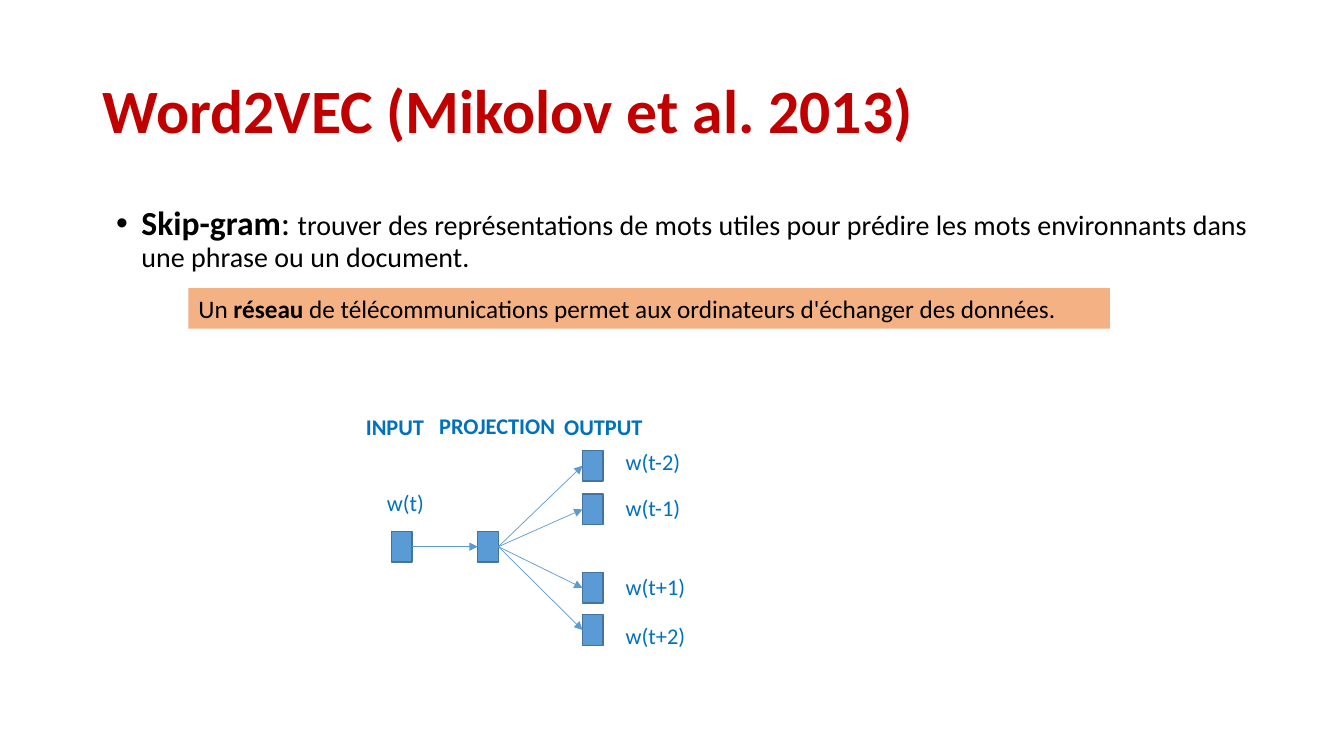
from dataclasses import dataclass

from lxml.etree import SubElement
from pptx import Presentation
from pptx.dml.color import RGBColor as RGB
from pptx.enum.shapes import MSO_CONNECTOR as CXN, MSO_SHAPE as SHP
from pptx.enum.text import MSO_ANCHOR as ANCHOR, MSO_AUTO_SIZE as FIT, PP_ALIGN as ALIGN
from pptx.oxml.ns import qn
from pptx.util import Cm, Pt


@dataclass(frozen=True)
class Theme:
    font: str = "Calibri"
    title: RGB = RGB(0xC0, 0x00, 0x00)
    text: RGB = RGB(0x00, 0x00, 0x00)
    label: RGB = RGB(0x00, 0x70, 0xC0)
    node: RGB = RGB(0x5B, 0x9B, 0xD5)
    border: RGB = RGB(0x43, 0x73, 0x9E)
    banner: RGB = RGB(0xF4, 0xB1, 0x83)
    title_size: int = 44
    lead_size: int = 24
    body_size: int = 20
    banner_size: int = 18
    label_size: int = 16


THEME = Theme()
RIGHT, LEFT = 3, 1
NODE_W, NODE_H = 0.52, 0.77
LABEL_H = 0.94


def add_run(p, text, size, color, bold=False):
    r = p.add_run()
    r.text = text
    r.font.name = THEME.font
    r.font.size = Pt(size)
    r.font.bold = bold
    r.font.color.rgb = color


def place(sp, left, top, width, height):
    sp.left, sp.top, sp.width, sp.height = Cm(left), Cm(top), Cm(width), Cm(height)


def set_title(sp, text):
    place(sp, 2.34, 1.02, 29.21, 3.68)
    tf = sp.text_frame
    tf.auto_size = FIT.NONE
    tf.vertical_anchor = ANCHOR.MIDDLE
    p = tf.paragraphs[0]
    p.alignment = ALIGN.LEFT
    p.line_spacing = 0.9
    add_run(p, text, THEME.title_size, THEME.title, True)


def set_body(sp, lead, text):
    place(sp, 2.67, 5.08, 29.21, 4.32)
    tf = sp.text_frame
    tf.auto_size = FIT.NONE
    p = tf.paragraphs[0]
    p.line_spacing = 0.9
    p.space_before = Pt(0)
    pPr = p._p.get_or_add_pPr()
    pPr.set("marL", str(Cm(0.64)))
    pPr.set("indent", str(Cm(-0.64)))
    add_run(p, lead, THEME.lead_size, THEME.text, True)
    add_run(p, ": ", THEME.lead_size, THEME.text)
    add_run(p, text, THEME.body_size, THEME.text)


def add_rect(shapes, left, top, width, height, fill):
    sp = shapes.add_shape(SHP.RECTANGLE, Cm(left), Cm(top), Cm(width), Cm(height))
    sp.shadow.inherit = False
    sp.fill.solid()
    sp.fill.fore_color.rgb = fill
    sp.line.fill.background()
    return sp


def add_banner(shapes, runs):
    sp = add_rect(shapes, 4.75, 7.26, 23.22, 1.02, THEME.banner)
    tf = sp.text_frame
    tf.word_wrap = True
    p = tf.paragraphs[0]
    p.alignment = ALIGN.LEFT
    for text, bold in runs:
        add_run(p, text, THEME.banner_size, THEME.text, bold)


def add_node(shapes, left, top):
    sp = add_rect(shapes, left, top, NODE_W, NODE_H, THEME.node)
    sp.line.color.rgb = THEME.border
    sp.line.width = Pt(1)
    return sp


def add_arrow(shapes, source, target):
    cxn = shapes.add_connector(CXN.STRAIGHT, source.left, source.top, target.left, target.top)
    cxn.begin_connect(source, RIGHT)
    cxn.end_connect(target, LEFT)
    cxn.line.color.rgb = THEME.node
    cxn.line.width = Pt(0.5)
    SubElement(cxn.line._get_or_add_ln(), qn("a:tailEnd"), type="triangle")
    SubElement(cxn._element.spPr, qn("a:effectLst"))


def add_label(shapes, text, left, top, width, bold=False):
    tb = shapes.add_textbox(Cm(left), Cm(top), Cm(width), Cm(LABEL_H))
    tf = tb.text_frame
    tf.word_wrap = False
    tf.auto_size = FIT.SHAPE_TO_FIT_TEXT
    add_run(tf.paragraphs[0], text, THEME.label_size, THEME.label, bold)


def add_diagram(s):
    shapes = s.shapes.add_group_shape().shapes
    outputs = [add_node(shapes, 14.68, top) for top in (11.35, 12.45, 14.43, 15.49)]
    word = add_node(shapes, 9.86, 13.39)
    projection = add_node(shapes, 12.04, 13.39)
    add_arrow(shapes, word, projection)
    for output in outputs:
        add_arrow(shapes, projection, output)
    for text, left, top, width in (
        ("INPUT", 8.97, 10.29, 2.01),
        ("PROJECTION", 10.82, 10.26, 3.45),
        ("OUTPUT", 13.97, 10.29, 2.51),
    ):
        add_label(shapes, text, left, top, width, True)
    add_label(shapes, "w(t)", 9.5, 12.19, 1.47)
    for text, top, width in (
        ("w(t-2)", 11.18, 1.93),
        ("w(t-1)", 12.32, 1.93),
        ("w(t+1)", 14.33, 2.03),
        ("w(t+2)", 15.54, 2.03),
    ):
        add_label(shapes, text, 15.52, top, width)


def main():
    prs = Presentation()
    prs.slide_width, prs.slide_height = Cm(33.87), Cm(19.05)
    s = prs.slides.add_slide(prs.slide_layouts[1])
    set_title(s.shapes.title, "Word2VEC (Mikolov et al. 2013)")
    add_diagram(s)
    set_body(
        s.placeholders[1],
        "Skip-gram",
        "trouver des représentations de mots utiles pour prédire les mots "
        "environnants dans une phrase ou un document.",
    )
    add_banner(s.shapes, (
        ("Un ", False),
        ("réseau", True),
        (" de télécommunications permet aux ordinateurs d'échanger des données.", False),
    ))
    prs.save("out.pptx")


if __name__ == "__main__":
    main()
